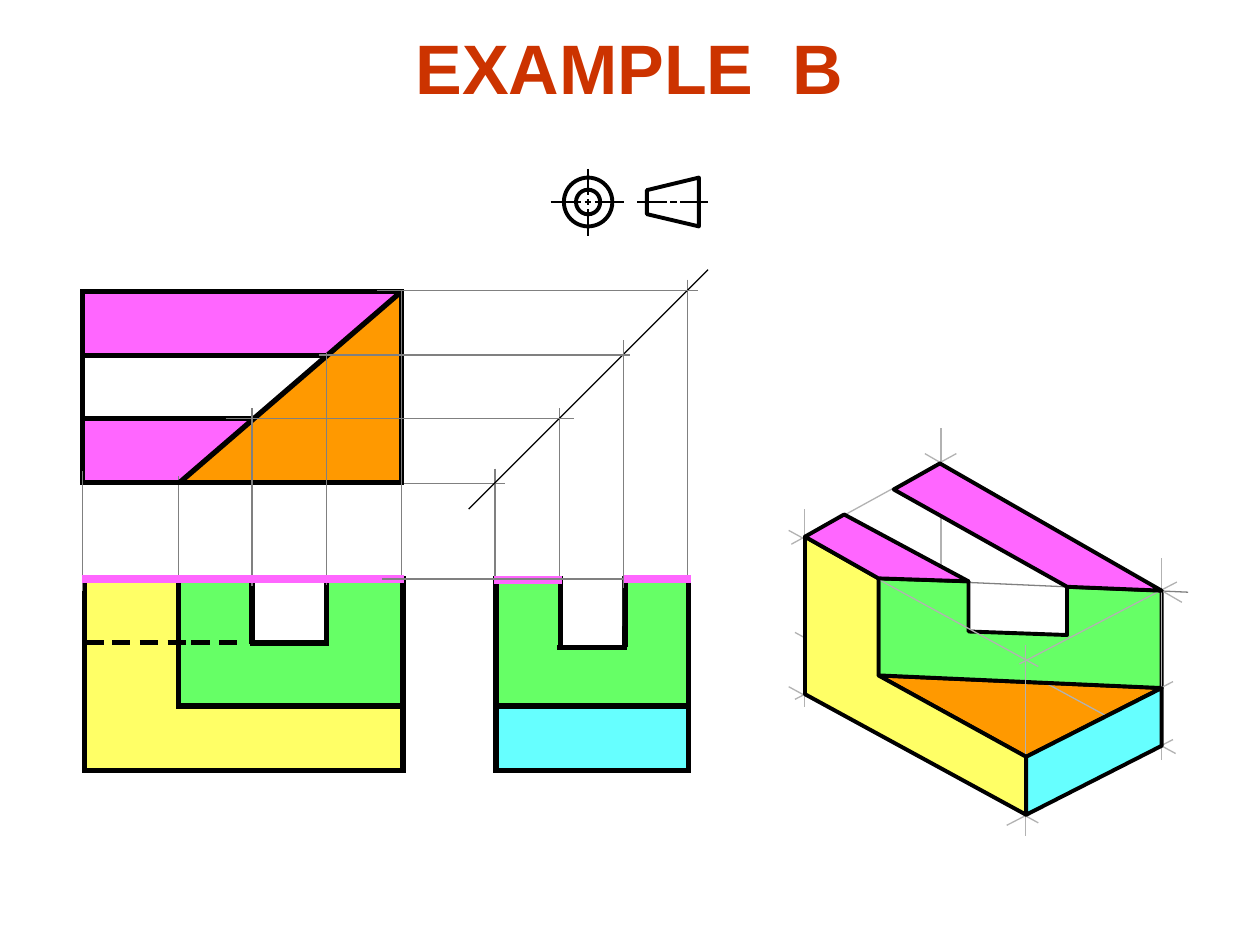
"""Build the Example B slide: orthographic views of a block and its pictorial view."""
from lxml import etree
from pptx import Presentation
from pptx import util as u
from pptx.dml.color import RGBColor
from pptx.enum import shapes, text
from pptx.oxml.ns import qn

TITLE = "EXAMPLE  B"
COLORS = {
    "black": "000000", "white": "FFFFFF", "title": "CC3300", "grey": "808080",
    "pale": "B2B2B2", "pink": "FF66FF", "orange": "FF9900", "yellow": "FFFF66",
    "green": "66FF66", "cyan": "66FFFF",
}
STROKES = {
    "projection": ("grey", 0.75), "guide": ("pale", 0.75), "mitre": ("black", 0.75),
    "axis": ("black", 1), "edge": ("black", 3), "cap": ("pink", 4.5),
}

LEFT, CUT, SLOT_L, SLOT_R, RIGHT = 47.3, 102.2, 144, 186.6, 229.5
S0, S1, S2, S3 = (282.8 + 36.75 * i for i in range(4))
T0, T1, T2, T3 = (166.5 + 36.4 * i for i in range(4))
F0, F1, F2, F3 = (330.8 + 36.3 * i for i in range(4))
SIDE_FLOOR = 370
AXIS_Y, CIRCLE_X = 115.4, 336.2
DASH_STARTS, DASH = (49, 64.1, 79.9, 95.8, 109.4, 125.3), 10.4

BACK_LOW, BACK_TOP = (460, 396.7), (460, 306.7)
FRONT_LOW, FRONT_TOP = (586.4, 465.6), (586.4, 432.5)
CUT_LOW, CUT_TOP = (502, 386), (502, 330.5)
END_LOW, END_MID, END_TOP = (663.8, 426.2), (663.8, 393.2), (663.8, 337.5)
NOTCH = [(609.8, 335.3), (609.8, 362.9), (553.5, 360.9), (553.5, 332.2)]


def across(y, x1, x2):
    return x1, y, x2, y


def upright(x, y1, y2):
    return x, y1, x, y2


LAYERS = [
    ("lines", "projection", [upright(S3, 159.8, 334), across(F0, 136.1, 294.5),
                             upright(S0, 267.8, 336.2)]),
    ("area", "pink", 0, [(LEFT, T1), (SLOT_R, T1), (RIGHT, T0), (LEFT, T0)]),
    ("area", "pink", 0, [(LEFT, T3), (CUT, T3), (SLOT_L, T2), (LEFT, T2)]),
    ("preset", "RECTANGLE", "cyan", 0, (S0, F2, S3 - S0, F3 - F2)),
    ("area", "orange", 2.25, [FRONT_TOP, END_MID, CUT_LOW]),
    ("lines", "projection", [upright(S1, 233.3, 335.5), upright(LEFT, 273.6, 335.5),
                             upright(CUT, 272.2, 334), across(T3 + 0.4, 95.8, 288.7)]),
    ("area", "orange", 0.75, [(RIGHT, T3), (RIGHT, T0), (CUT, T3)]),
    ("area", "yellow", 0.75, [(LEFT + 0.7, F3), (RIGHT, F3), (RIGHT, F2), (CUT, F2),
                              (CUT, F0), (LEFT + 0.7, F0)]),
    ("lines", "projection", [(484.6, 329.8, 679, 338.4)]),
    ("area", "green", 0, [(S0, F2), (S3, F2), (S3, F0), (S2, F0), (S2, SIDE_FLOOR),
                          (S1, SIDE_FLOOR), (S1, F0), (S0, F0)]),
    ("area", "green", 0, [(CUT, F2), (RIGHT, F2), (RIGHT, F0), (SLOT_R, F0),
                          (SLOT_R, F1), (SLOT_L, F1), (SLOT_L, F0), (CUT, F0)]),
    ("preset", "DONUT", None, 2.25, (322.2, 101.5, 27.7, 27.9)),
    ("area", None, 2.25, [(399.4, 101.5), (399.4, 129.4), (369.7, 122.4), (369.7, 108.7)]),
    ("lines", "axis",
     [across(AXIS_Y, *ends) for ends in ((334.1, 337.7), (339.8, 356.4), (314.6, 331.9),
                                         (383, 386.6), (388.8, 404.6), (364.3, 380.9))]
     + [upright(CIRCLE_X, *ends) for ends in ((113.8, 117.4), (96.5, 111.6), (119.5, 134.6))]),
    ("preset", "RECTANGLE", None, 3, (LEFT, T0, RIGHT - LEFT, T3 - T0)),
    ("preset", "RECTANGLE", None, 3, (LEFT + 0.9, F0, RIGHT - LEFT, F3 - F0 + 0.6)),
    ("preset", "RECTANGLE", None, 3, (S0 + 0.6, F0, S3 - S0, F3 - F0 + 0.6)),
    ("lines", "edge",
     [(CUT + 0.5, T3, RIGHT, T0), across(T1 + 0.4, LEFT, SLOT_R), across(T2, LEFT, SLOT_L),
      across(F2, CUT - 1.5, RIGHT), upright(CUT, F0, F2 + 1),
      across(F2, S0 + 1, S3), upright(SLOT_L, F0, F1 + 1),
      across(F1 + 0.4, SLOT_L - 1.3, SLOT_R + 1.5), across(SIDE_FLOOR, S1 - 1, S2 + 2),
      upright(SLOT_R, F0, F1 + 1), upright(S1 + 0.6, F0 + 1.4, SIDE_FLOOR),
      upright(S2 + 0.8, F0 + 1.4, SIDE_FLOOR)]
     + [across(F1, x, x + DASH) for x in DASH_STARTS]),
    ("preset", "RECTANGLE", "white", 0, (321.8, 324.7, 33.8, 33.1)),
    ("lines", "mitre", [(267.8, 290.9, 404.6, 154.1)]),
    ("lines", "guide", [upright(537.8, 244.8, 367.9), (454.3, 399.6, 550.1, 350.6),
                        (528.5, 352.8, 671.8, 430.6)]),
    ("area", "green", 2.25, [CUT_LOW, END_MID, END_TOP, *NOTCH, CUT_TOP]),
    ("lines", "guide",
     [(520.6, 320.4, 488.2, 339.1), (452.2, 311, 546.5, 259.2), (575.3, 471.6, 670.3, 422.6),
      (528.5, 259.2, 675.4, 344.2), upright(459.6, 290.9, 403.9), (450.7, 392.4, 593.3, 470.2),
      upright(663.8, 319, 434.2), upright(585.9, 368.6, 477.9), (450.7, 303.1, 593.3, 380.9),
      (582.5, 379.4, 672.5, 332.6), (670.3, 389.5, 580.3, 436.3), (454.3, 361.4, 597.6, 439.2)]),
    ("area", "yellow", 2.25, [BACK_LOW, FRONT_LOW, FRONT_TOP, CUT_LOW, CUT_TOP, BACK_TOP]),
    ("area", "cyan", 2.25, [FRONT_LOW, END_LOW, END_MID, FRONT_TOP]),
    ("lines", "projection", [upright(SLOT_L, 233.3, 334.8)]),
    ("lines", "cap", [across(F0, LEFT - 0.7, SLOT_L)]),
    ("lines", "projection", [across(T2, 128.9, 328.3)]),
    ("lines", "cap", [across(F0 + 0.5, S0 - 0.7, S1 + 1.5)]),
    ("area", "pink", 2.25, [BACK_TOP, CUT_TOP, NOTCH[3], (482.4, 294)]),
    ("lines", "projection",
     [upright(S2, 194.4, 336.2), across(T1, 182.2, 360), across(T0 - 0.7, 215.3, 398.9),
      upright(LEFT, 269.3, 337.7), upright(RIGHT, 165.6, 333.4), upright(SLOT_R, 201.6, 334.1)]),
    ("lines", "cap", [across(F0, LEFT - 0.4, RIGHT + 1.4)]),
    ("lines", "projection", [across(F0, 218.2, 377.3)]),
    ("lines", "cap", [across(F0, S2, S3 + 2)]),
    ("area", "pink", 2.25, [(510.7, 279.7), NOTCH[0], END_TOP, (537.1, 264.8)]),
]


def rgb(name):
    return RGBColor.from_string(COLORS[name])


def points(values):
    return [u.Pt(value) for value in values]


def paint(shape, fill, weight):
    shape.shadow.inherit = False
    if fill:
        shape.fill.solid()
        shape.fill.fore_color.rgb = rgb(fill)
    else:
        shape.fill.background()
    if weight:
        shape.line.color.rgb = rgb("black")
        shape.line.width = u.Pt(weight)
    else:
        shape.line.fill.background()


def draw_lines(slide, stroke, segments):
    color, weight = STROKES[stroke]
    for segment in segments:
        line = slide.shapes.add_connector(shapes.MSO_CONNECTOR.STRAIGHT, *points(segment))
        line.line.color.rgb = rgb(color)
        line.line.width = u.Pt(weight)
        etree.SubElement(line._element.spPr, qn("a:effectLst"))


def draw_area(slide, fill, weight, corners):
    first, *rest = [points(corner) for corner in corners]
    outline = slide.shapes.build_freeform(*first, scale=1.0)
    outline.add_line_segments(rest, close=True)
    paint(outline.convert_to_shape(), fill, weight)


def draw_preset(slide, preset, fill, weight, box):
    kind = getattr(shapes.MSO_SHAPE, preset)
    shape = slide.shapes.add_shape(kind, *points(box))
    paint(shape, fill, weight)
    if weight:
        stroke = shape._element.spPr.find(qn("a:ln"))
        etree.SubElement(stroke, qn("a:miter"), lim="800000")


def add_title(slide):
    title = slide.shapes.title
    title.left, title.top, title.width, title.height = points((200, 10.5, 319.2, 55.4))
    frame = title.text_frame
    frame.text = TITLE
    frame.word_wrap = False
    frame.vertical_anchor = text.MSO_ANCHOR.TOP
    heading = frame.paragraphs[0]
    heading.alignment = text.PP_ALIGN.CENTER
    heading.font.name = "Arial"
    heading.font.size = u.Pt(40)
    heading.font.bold = True
    heading.font.color.rgb = rgb("title")


def main():
    deck = Presentation()
    deck.slide_width, deck.slide_height = points((720, 540))
    slide = deck.slides.add_slide(deck.slide_layouts[5])
    add_title(slide)
    draw = {"lines": draw_lines, "area": draw_area, "preset": draw_preset}
    for kind, *details in LAYERS:
        draw[kind](slide, *details)
    deck.save("out.pptx")


if __name__ == "__main__":
    main()
